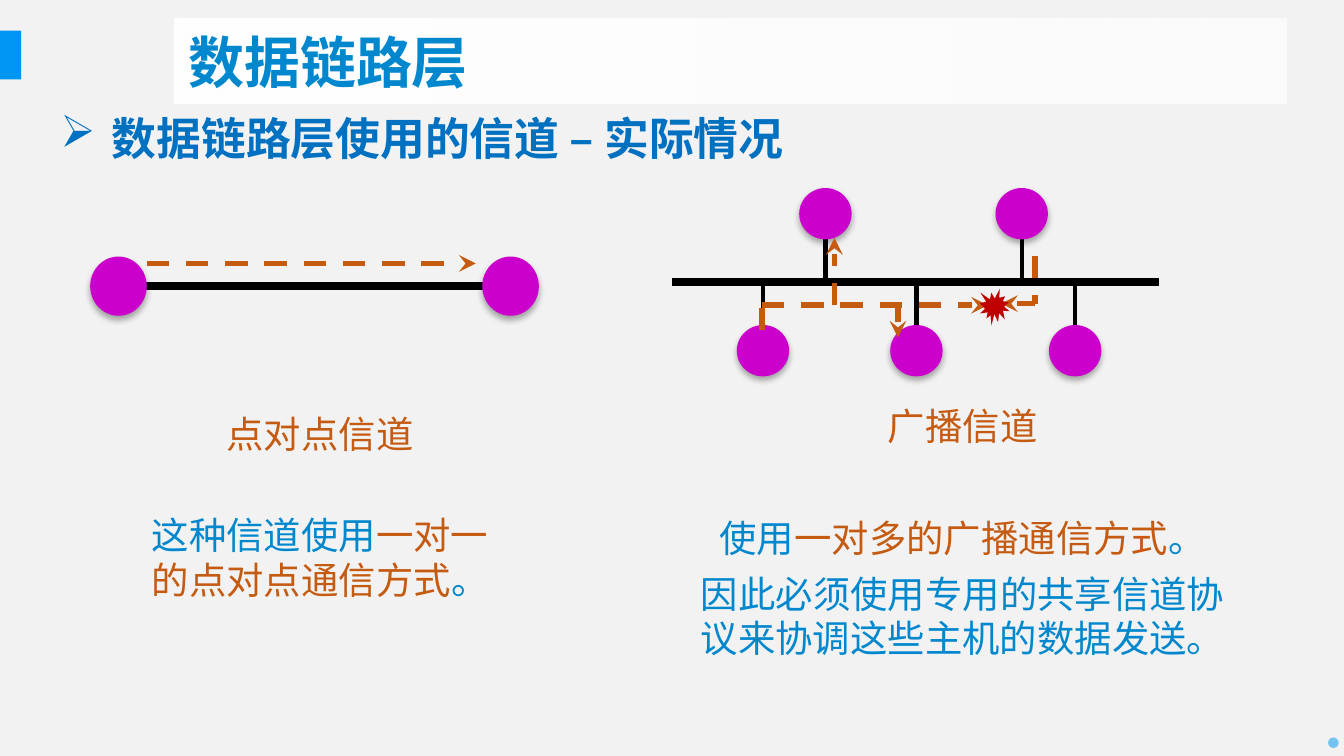
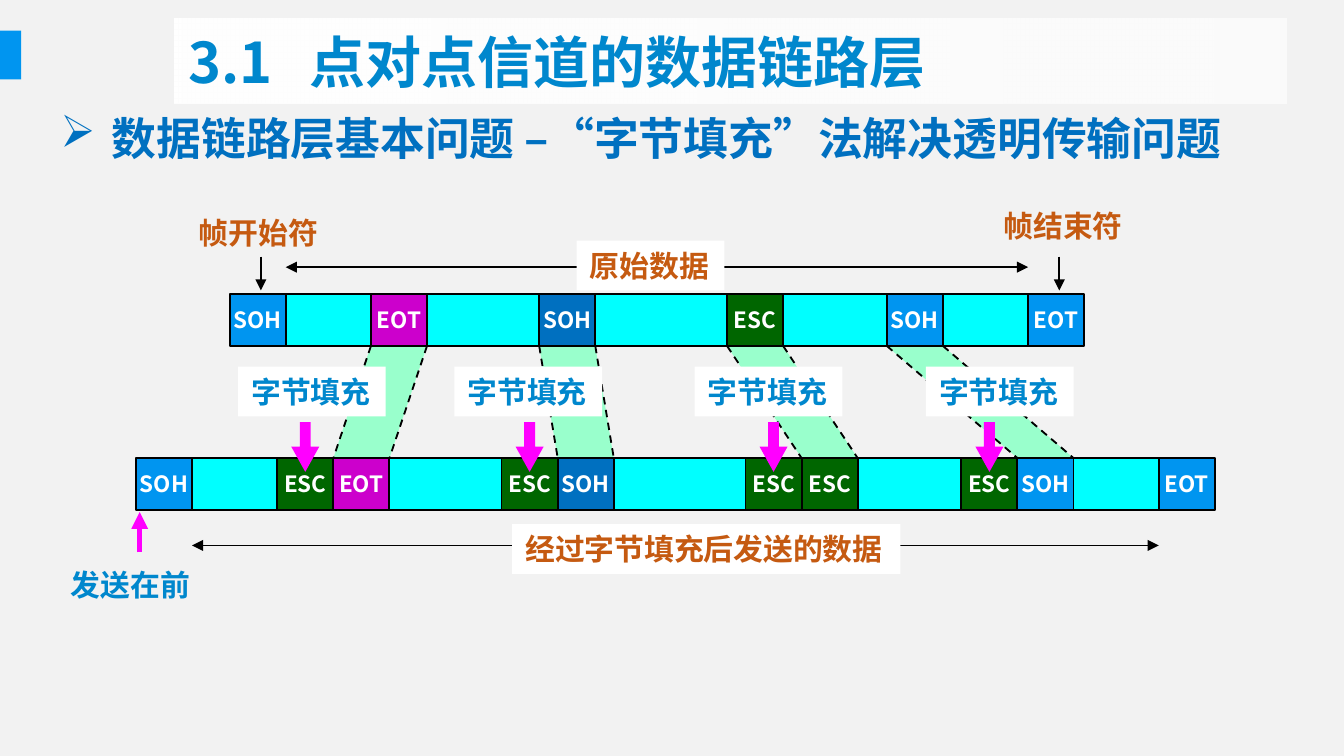
from lxml.etree import SubElement as Sub
from pptx import Presentation
from pptx.dml.color import RGBColor
from pptx.enum.dml import MSO_LINE as Dash
from pptx.enum.lang import MSO_LANGUAGE_ID as Lang
from pptx.enum.shapes import MSO_CONNECTOR as Link, MSO_SHAPE as Kind
from pptx.enum.text import MSO_ANCHOR as Anchor, MSO_AUTO_SIZE as Fit, PP_ALIGN as Align
from pptx.oxml.ns import qn
from pptx.util import Cm, Pt

FONT = "Noto Sans CJK SC"
BLUE, SKY, DEEP, RUST = "0095F0", "0087CD", "0070C0", "C55A11"
PLUM, GREEN, CYAN, MINT, PINK = "CC00CC", "006600", "00FFFF", "99FFCC", "FF00FF"
BLACK, WHITE, RED, GREY = "000000", "FFFFFF", "C00000", "F2F2F2"

HEADS = [
    ("数据链路层", "数据链路层使用的信道 – 实际情况"),
    ("3.1\t点对点信道的数据链路层", "数据链路层基本问题 –“字节填充”法解决透明传输问题"),
]

PAIR, PAIR_Y = (2.24, 9.65), 5.41
BUS, BUS_Y = (12.7, 21.9), 5.33
HOSTS = [(15.6, 4.04), (19.31, 4.04), (14.42, 6.63), (17.32, 6.63), (20.32, 6.63)]
SIGNALS = [
    (19.56, 5.74, 18.92, 5.74, True),
    (19.56, 4.83, 19.56, 5.74, False),
    (14.4, 5.77, 18.67, 5.77, True),
    (15.77, 5.77, 15.77, 4.5, True),
    (16.97, 5.82, 16.97, 6.38, True),
    (14.4, 5.82, 14.4, 6.38, False),
    (2.77, 4.98, 8.99, 4.98, True),
]
NOTES = [
    ((2.29, 7.65, 7.52, 3.89), [
        (0, [("点对点信道", RUST)]),
        (30, [("这种信道使用", SKY), ("一对一的点对点通信方式", RUST), ("。", SKY)]),
    ]),
    ((12.9, 7.49, 10.59, 5.18), [
        (0, [("广播信道", RUST)]),
        (36, [("使用", SKY), ("一对多的广播通信方式", RUST), ("。", SKY)]),
        (6, [("因此必须使用专用的共享信道协议来协调这些主机的数据发送。", SKY)]),
    ]),
]

CELL, HIGH = 1.06, 0.98
RAW_Y, SENT_Y = 5.56, 8.66
RAW_X, SENT_X, END_X = 4.34, 2.57, 19.43
STUFFED = [
    ("EOT", PLUM, 7.01, 4.5),
    ("SOH", DEEP, 10.19, 8.59),
    ("ESC", GREEN, 13.74, 13.13),
    ("SOH", BLUE, 16.76, 17.5),
]
SPANS = [
    (RAW_X, END_X, 5.05, "原始数据", (10.9, 4.55, 2.79)),
    (SENT_X, END_X + SENT_X - RAW_X + 4 * CELL, 10.31,
     "经过字节填充后发送的数据", (9.68, 9.91, 7.34)),
]
MARKS = [("帧开始符", 3.51, 3.94, 4.93), ("帧结束符", 18.72, 3.81, 20.02)]


def rgb(code):
    return RGBColor.from_string(code)


def fade(node, share):
    Sub(node, qn("a:alpha"), val=str(share * 1000))


def write(shape, paras, size=16, color=SKY, bold=True, align=Align.LEFT,
          anchor=Anchor.TOP, wrap=False, latin=FONT, bullet=None, tab=None):
    if isinstance(paras, str):
        paras = [(0, [(paras, color)])]
    frame = shape.text_frame
    frame.auto_size = Fit.NONE
    frame.word_wrap, frame.vertical_anchor = wrap, anchor
    for i, (gap, runs) in enumerate(paras):
        para = frame.add_paragraph() if i else frame.paragraphs[0]
        para.alignment, para.line_spacing = align, Pt(size * 1.2)
        if gap:
            para.space_before = Pt(gap)
        prop = para._p.get_or_add_pPr()
        if bullet:
            prop.set("marL", str(Cm(0.97)))
            prop.set("indent", str(-Cm(0.97)))
            Sub(prop, qn("a:buChar"), char=bullet)
        if tab:
            Sub(Sub(prop, qn("a:tabLst")), qn("a:tab"), pos=str(Cm(tab)), algn="l")
        for words, tint in runs:
            run = para.add_run()
            run.text = words
            font = run.font
            font.size, font.bold, font.name = Pt(size), bold, latin
            font.color.rgb = rgb(tint)
            font.language_id = Lang.SIMPLIFIED_CHINESE
            Sub(run._r.get_or_add_rPr(), qn("a:ea"), typeface=FONT)


def label(slide, words, x, y, w, h=0.94, fill=None, **style):
    box = slide.shapes.add_textbox(Cm(x), Cm(y), Cm(w), Cm(h))
    if fill:
        box.fill.solid()
        box.fill.fore_color.rgb = rgb(fill)
    write(box, words, **style)


def paint(shape, fill, edge=None):
    shape.shadow.inherit = False
    shape.fill.solid()
    shape.fill.fore_color.rgb = rgb(fill)
    if edge:
        shape.line.color.rgb = rgb(edge)
        shape.line.width = Pt(1)
    else:
        shape.line.fill.background()
    return shape


def draw(slide, kind, x, y, w, h, fill, edge=None):
    return paint(slide.shapes.add_shape(kind, Cm(x), Cm(y), Cm(w), Cm(h)), fill, edge)


def wire(slide, x1, y1, x2, y2, color=BLACK, width=1.0, dash=False, head=None, tail=None):
    line = slide.shapes.add_connector(Link.STRAIGHT, Cm(x1), Cm(y1), Cm(x2), Cm(y2))
    line.line.color.rgb = rgb(color)
    line.line.width = Pt(width)
    if dash:
        line.line.dash_style = Dash.DASH
    for tag, tip in (("a:headEnd", head), ("a:tailEnd", tail)):
        if tip:
            Sub(line.line._get_or_add_ln(), qn(tag), type=tip)
    Sub(line._element.spPr, qn("a:effectLst"))


def host(slide, x, y, w, h):
    ball = draw(slide, Kind.OVAL, x - w / 2, y - h / 2, w, h, PLUM)
    glow = ball._element.spPr.find(qn("a:effectLst"))
    cast = Sub(glow, qn("a:outerShdw"), blurRad=str(Pt(3.5)), dist=str(Pt(2.2)),
               dir="5400000", algn="t", rotWithShape="0")
    fade(Sub(cast, qn("a:srgbClr"), val=BLACK), 32)


def cell(slide, words, x, y, fill):
    box = draw(slide, Kind.RECTANGLE, x, y, CELL, HIGH, fill, BLACK)
    write(box, words, size=12, color=WHITE, align=Align.CENTER, anchor=Anchor.MIDDLE)


def start(prs, head, topic):
    slide = prs.slides.add_slide(prs.slide_layouts[5])
    draw(slide, Kind.RECTANGLE, -0.03, 0.58, 0.43, 0.92, BLUE)
    title = slide.shapes.title
    title.left, title.top, title.width, title.height = Cm(3.3), Cm(0.36), Cm(21.01), Cm(1.6)
    title.fill.gradient()
    title.fill.gradient_angle = 0
    for stop, place in zip(title.fill.gradient_stops, (0, 1)):
        stop.color.rgb, stop.position = rgb(WHITE), place
    fade(title._element.findall(".//" + qn("a:gs"))[-1][0], 67)
    write(title, head, size=30, anchor=Anchor.MIDDLE, wrap=True,
          tab=2.3 if "\t" in head else None)
    label(slide, topic, 0.89, 1.96, 23.39, 1.27, size=24, color=DEEP,
          wrap=True, latin="Calibri", bullet="➢")
    return slide


def channels(slide):
    wire(slide, PAIR[0], PAIR_Y, PAIR[1], PAIR_Y, width=4.5)
    for x in PAIR:
        host(slide, x, PAIR_Y, 1.07, 1.12)
    wire(slide, BUS[0], BUS_Y, BUS[1], BUS_Y, width=4.5)
    for x, y in HOSTS:
        wire(slide, x, BUS_Y, x, y + (0.33 if y < BUS_Y else -0.33), width=2.25)
    for x, y in HOSTS:
        host(slide, x, y, 0.99, 0.97)
    for *ends, tip in SIGNALS:
        wire(slide, *ends, color=RUST, width=3, dash=True, tail="stealth" if tip else None)
    draw(slide, Kind.EXPLOSION1, 18.52, 5.46, 0.56, 0.69, RED)
    for place, paras in NOTES:
        label(slide, paras, *place, size=20, bold=False, align=Align.CENTER, wrap=True)
    dot = draw(slide, Kind.OVAL, 25.1, 13.94, 0.2, 0.2, BLUE)
    fade(dot._element.spPr.find(qn("a:solidFill"))[0], 51)


def stuffing(slide):
    low = RAW_Y + HIGH
    escs = [x + SENT_X - RAW_X + i * CELL for i, (_, _, x, _) in enumerate(STUFFED)]
    for (_, _, x, _), esc in zip(STUFFED, escs):
        twin = esc + CELL
        form = slide.shapes.build_freeform(Cm(twin), Cm(SENT_Y))
        form.add_line_segments([(Cm(a), Cm(b)) for a, b in (
            (twin + CELL, SENT_Y), (x + CELL, low), (x, low))])
        paint(form.convert_to_shape(), MINT)
    for (left, right, y, words, place), row in zip(SPANS, (RAW_Y, SENT_Y)):
        near = left + CELL
        draw(slide, Kind.RECTANGLE, near, row, right - near, HIGH, CYAN, BLACK)
        cell(slide, "SOH", left, row, BLUE)
        cell(slide, "EOT", right, row, BLUE)
        wire(slide, near, y, right, y, head="triangle", tail="triangle")
        label(slide, words, *place, fill=WHITE, color=RUST)
    for (name, fill, x, tag), esc in zip(STUFFED, escs):
        cell(slide, name, x, RAW_Y, fill)
        cell(slide, "ESC", esc, SENT_Y, GREEN)
        cell(slide, name, esc + CELL, SENT_Y, fill)
        for side in (0, CELL):
            wire(slide, x + side, low, esc + CELL + side, SENT_Y, dash=True)
        label(slide, "字节填充", tag, 6.93, 2.79, fill=WHITE)
        arrow = draw(slide, Kind.DOWN_ARROW, esc + CELL / 4, 7.98, CELL / 2, 0.94, PINK)
        arrow.adjustments[0], arrow.adjustments[1] = 0.39, 0.9
    for words, x, y, mid in MARKS:
        label(slide, words, x, y, 2.79, color=RUST)
        wire(slide, mid, 4.85, mid, 5.49, tail="triangle")
    wire(slide, 2.64, 10.44, 2.64, 9.68, color=PINK, width=3, tail="triangle")
    label(slide, "发送在前", 1.09, 10.59, 3.02, wrap=True)


def main():
    prs = Presentation()
    prs.slide_width, prs.slide_height = Cm(25.4), Cm(14.29)
    back = prs.slide_master.background.fill
    back.solid()
    back.fore_color.rgb = rgb(GREY)
    for heads, body in zip(HEADS, (channels, stuffing)):
        body(start(prs, *heads))
    prs.save("out.pptx")


if __name__ == "__main__":
    """Build the two data link layer slides."""
    main()
